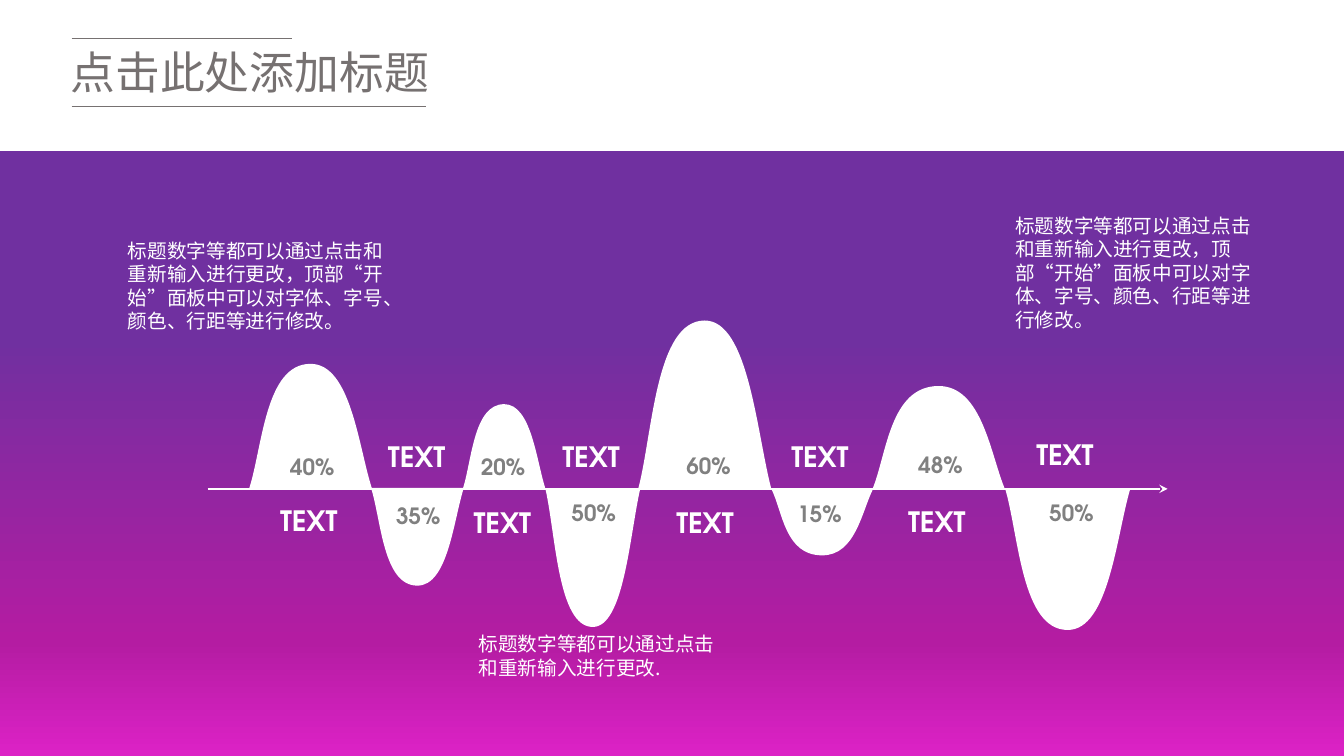
from typing import NamedTuple

from lxml.etree import SubElement
from pptx import Presentation
from pptx.dml.color import RGBColor
from pptx.enum.shapes import MSO_CONNECTOR, MSO_SHAPE
from pptx.enum.text import MSO_ANCHOR as Anchor, MSO_AUTO_SIZE as AutoSize
from pptx.oxml.ns import qn
from pptx.util import Inches, Pt

CJK = "Noto Sans CJK SC"
LATIN = "TeX Gyre Adventor"
WHITE = "FFFFFF"
TITLE_GRAY = "767171"
PERCENT_GRAY = "808080"
GRADIENT = [(0, "7030A0"), (31, "7030A0"), (81, "B41CA2"), (100, "DC22C6")]
# Bezier control and end points of one wave's two halves,
# as fractions of its width and height
WAVE_CURVES = [
    [(0.11, 0.33), (0.13, 1), (0.5, 1)],
    [(0.83, 1), (0.89, 0.33), (1, 0)],
]


class Wave(NamedTuple):
    left: float
    base: float
    width: float
    height: float  # negative below the axis
    percent: str
    percent_at: tuple[float, float]
    label_at: tuple[float, float]


class Note(NamedTuple):
    left: float
    top: float
    width: float
    height: float
    text: str


class Rule(NamedTuple):
    left: float
    right: float
    y: float


WAVES = [
    Wave(8.65, 4.86, 1.32, 1.03, "48%", (9.01, 4.43), (8.91, 4.96)),
    Wave(9.97, 4.85, 1.24, -1.4, "50%", (10.31, 4.9), (10.18, 4.29)),
    Wave(7.65, 4.85, 1.01, -0.66, "15%", (7.81, 4.91), (7.75, 4.31)),
    Wave(6.33, 4.85, 1.32, 1.67, "60%", (6.71, 4.44), (6.61, 4.97)),
    Wave(5.41, 4.85, 0.94, -1.37, "50%", (5.57, 4.9), (5.48, 4.31)),
    Wave(4.59, 4.85, 0.82, 0.84, "20%", (4.67, 4.45), (4.6, 4.97)),
    Wave(3.68, 4.84, 0.92, -0.97, "35%", (3.83, 4.93), (3.75, 4.31)),
    Wave(2.47, 4.85, 1.22, 1.24, "40%", (2.78, 4.45), (2.68, 4.95)),
]
LONG_NOTE = "标题数字等都可以通过点击和重新输入进行更改，顶部“开始”面板中可以对字体、字号、颜色、行距等进行修改。"
NOTES = [
    Note(1.17, 2.32, 2.75, 1.04, LONG_NOTE),
    Note(9.97, 2.07, 2.73, 1.04, LONG_NOTE),
    Note(4.65, 6.22, 2.57, 0.57, "标题数字等都可以通过点击和重新输入进行更改."),
]
TITLE = Note(0.6, 0.47, 3.88, 0.54, "点击此处添加标题")
TITLE_RULES = [Rule(0.71, 4.23, 1.06), Rule(0.71, 2.9, 0.38)]
AXIS = Rule(2.06, 11.58, 4.85)


def rgb(color: str) -> RGBColor:
    return RGBColor.from_string(color)


def add_background(slide) -> None:
    panel = slide.shapes.add_shape(
        MSO_SHAPE.RECTANGLE, 0, Inches(1.5), Inches(13.33), Inches(6))
    panel.shadow.inherit = False
    panel.line.fill.background()
    panel.fill.gradient()
    panel.fill.gradient_angle = 270
    stops = panel._element.spPr.find(qn("a:gradFill")).find(qn("a:gsLst"))
    for stop in list(stops):
        stops.remove(stop)
    for percent, color in GRADIENT:
        stop = SubElement(stops, qn("a:gs"), pos=str(percent * 1000))
        SubElement(stop, qn("a:srgbClr"), val=color)


def add_rule(slide, rule: Rule, color: str, weight: float, arrow: bool = False) -> None:
    line = slide.shapes.add_connector(
        MSO_CONNECTOR.STRAIGHT, Inches(rule.left), Inches(rule.y),
        Inches(rule.right), Inches(rule.y))
    line.line.color.rgb = rgb(color)
    line.line.width = Pt(weight)
    properties = line._element.spPr
    if arrow:
        SubElement(properties.find(qn("a:ln")), qn("a:tailEnd"), type="stealth")
    SubElement(properties, qn("a:effectLst"))


def add_text(slide, note: Note, size: float, color: str, font: str = CJK,
             bold: bool = False, wrap: bool = True):
    frame = slide.shapes.add_textbox(
        Inches(note.left), Inches(note.top),
        Inches(note.width), Inches(note.height)).text_frame
    frame.word_wrap = wrap
    frame.auto_size = AutoSize.SHAPE_TO_FIT_TEXT
    paragraph = frame.paragraphs[0]
    paragraph.text = note.text
    paragraph.font.size = Pt(size)
    paragraph.font.bold = bold
    paragraph.font.color.rgb = rgb(color)
    paragraph.font.name = font
    defaults = paragraph._p.pPr.find(qn("a:defRPr"))
    SubElement(defaults, qn("a:ea"), typeface=font)
    return frame


def bend(segment, controls: list[tuple[int, int]]) -> None:
    """Turn a straight path segment into a cubic Bezier curve."""
    curve = segment.makeelement(qn("a:cubicBezTo"))
    for x, y in controls:
        SubElement(curve, qn("a:pt"), x=str(x), y=str(y))
    segment.getparent().replace(segment, curve)


def add_wave(slide, wave: Wave) -> None:
    left, base = Inches(wave.left), Inches(wave.base)
    width, height = Inches(wave.width), Inches(wave.height)
    builder = slide.shapes.build_freeform(left, base)
    builder.add_line_segments(
        [(left + width // 2, base - height), (left + width, base), (left, base)],
        close=True)
    hump = builder.convert_to_shape()
    start_y = max(height, 0)
    segments = list(hump._element.spPr.iter(qn("a:lnTo")))
    for segment, controls in zip(segments, WAVE_CURVES):
        bend(segment, [(round(x * width), round(start_y - y * height))
                       for x, y in controls])
    hump.shadow.inherit = False
    hump.fill.solid()
    hump.fill.fore_color.rgb = rgb(WHITE)
    hump.line.fill.background()


def main() -> None:
    deck = Presentation()
    deck.slide_width, deck.slide_height = Inches(13.33), Inches(7.5)
    slide = deck.slides.add_slide(deck.slide_layouts[6])

    add_background(slide)
    for rule in TITLE_RULES:
        add_rule(slide, rule, TITLE_GRAY, 0.5)
    title = add_text(slide, TITLE, 32, TITLE_GRAY)
    title.auto_size = AutoSize.NONE
    title.vertical_anchor = Anchor.MIDDLE
    title.paragraphs[0].line_spacing = 0.9

    for wave in WAVES:
        add_wave(slide, wave)
    add_rule(slide, AXIS, WHITE, 1.5, arrow=True)
    for wave in WAVES:
        add_text(slide, Note(*wave.label_at, 0.77, 0.44, "TEXT"), 20, WHITE,
                 LATIN, bold=True, wrap=False)
        add_text(slide, Note(*wave.percent_at, 0.65, 0.37, wave.percent), 16,
                 PERCENT_GRAY, LATIN, bold=True, wrap=False)
    for note in NOTES:
        add_text(slide, note, 14, WHITE)

    deck.save("out.pptx")


if __name__ == "__main__":
    main()
